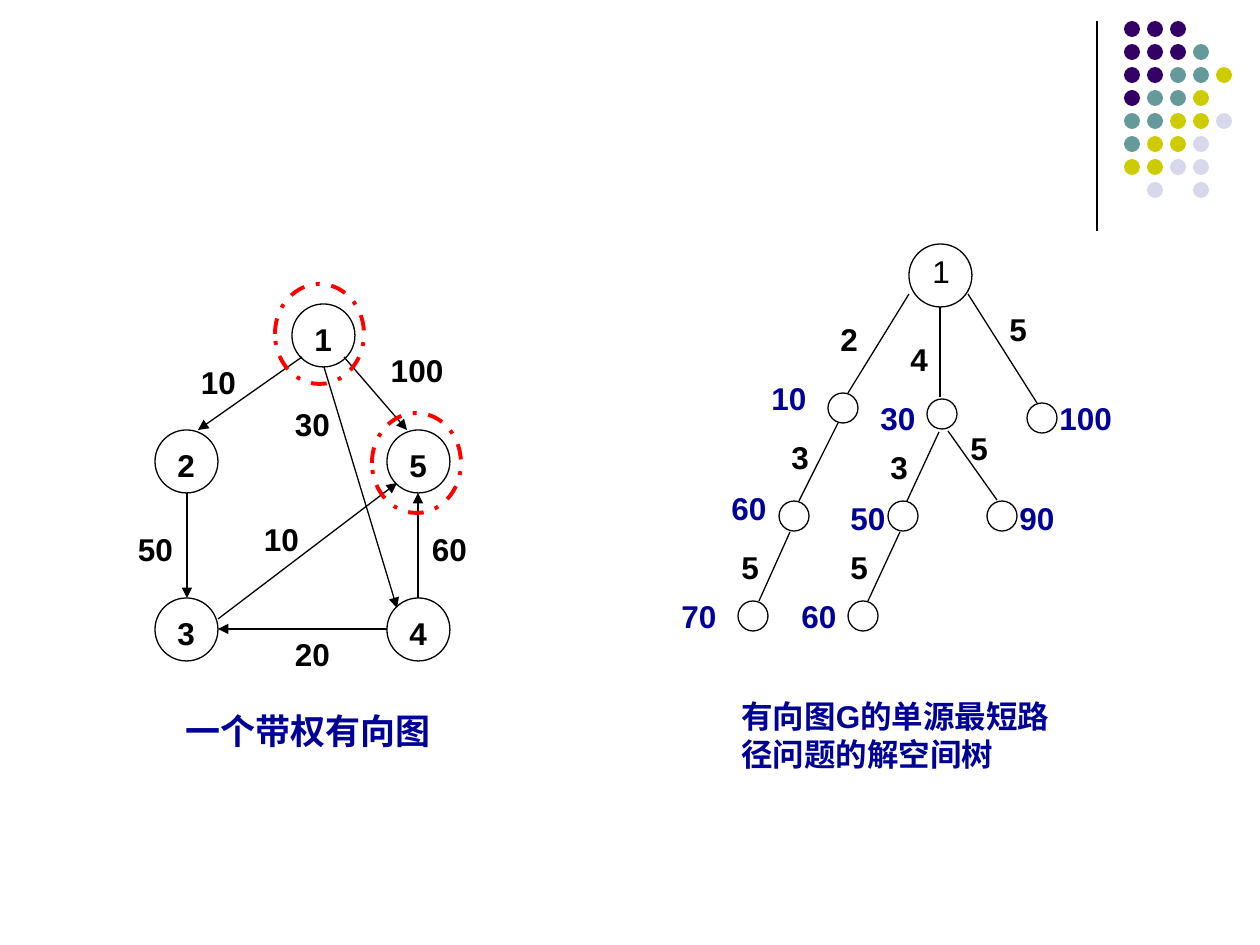
from lxml import etree
from pptx import Presentation, util as u
from pptx.dml.color import RGBColor
from pptx.enum import dml, shapes, text
from pptx.oxml import ns

PX = u.Inches(1) / 126
BLACK = RGBColor(0x00, 0x00, 0x00)
NAVY = RGBColor(0x00, 0x00, 0x99)
RED = RGBColor(0xFF, 0x00, 0x00)
DOT_COLOURS = {
    "p": RGBColor(0x33, 0x00, 0x66),
    "t": RGBColor(0x66, 0x99, 0x99),
    "y": RGBColor(0xCC, 0xCC, 0x00),
    "l": RGBColor(0xD8, 0xD8, 0xEC),
}
LEFT, CENTER = text.PP_ALIGN.LEFT, text.PP_ALIGN.CENTER

prs = Presentation()
prs.slide_width, prs.slide_height = u.Inches(10), u.Inches(7.5)
s = prs.slides.add_slide(prs.slide_layouts[6])


def add_ellipse(x, y, w, h, fill=None, line=None, weight=0.75):
    sp = s.shapes.add_shape(shapes.MSO_SHAPE.OVAL, *(round(v * PX) for v in (x, y, w, h)))
    sp.shadow.inherit = False
    if fill is None:
        sp.fill.background()
    else:
        sp.fill.solid()
        sp.fill.fore_color.rgb = fill
    if line is None:
        sp.line.fill.background()
    else:
        sp.line.color.rgb = line
        sp.line.width = u.Pt(weight)
    return sp


def add_label(words, x, y, w, h=50, color=BLACK, align=LEFT, size=18, bold=True):
    tf = s.shapes.add_textbox(*(round(v * PX) for v in (x, y, w, h))).text_frame
    tf.word_wrap = True
    p = tf.paragraphs[0]
    p.text = words
    p.alignment = align
    p.font.name = "Arial"
    p.font.size = u.Pt(size)
    p.font.bold = bold
    p.font.color.rgb = color


# Corner dots
DOT_ROWS = ["ppp", "pppt", "pptty", "ptty", "ttyyl", "tyyl", "yyll", " l l"]
for row, keys in enumerate(DOT_ROWS):
    for col, key in enumerate(keys):
        if key != " ":
            add_ellipse(1124 + 23 * col, 21 + 23 * row, 16, 16, fill=DOT_COLOURS[key])

# Lines: x1, y1, x2, y2
corner_rule = [(1097, 21, 1097, 231)]
tree_edges = [
    (909, 294, 848, 393), (968, 294, 1037, 403), (838, 423, 799, 501),
    (940, 307, 940, 397), (948, 431, 997, 500), (939, 432, 907, 501),
    (900, 532, 868, 601), (790, 532, 759, 601),
]
graph_edges = [
    (302, 357, 198, 430), (324, 367, 397, 608), (344, 357, 407, 430),
    (418, 598, 418, 493), (187, 493, 187, 598), (218, 619, 397, 483),
    (387, 629, 218, 629),
]
for edges, directed in ((corner_rule, False), (tree_edges, False), (graph_edges, True)):
    for edge in edges:
        c = s.shapes.add_connector(shapes.MSO_CONNECTOR.STRAIGHT, *(round(v * PX) for v in edge))
        c.line.color.rgb = BLACK
        c.line.width = u.Pt(0.75)
        if directed:
            etree.SubElement(c.line._get_or_add_ln(), ns.qn("a:tailEnd"), type="triangle")
        etree.SubElement(c._element.spPr, ns.qn("a:effectLst"))

# Solution space tree
add_ellipse(909, 244, 63, 63, line=BLACK)
add_label("1", 920, 246, 53, bold=False)
for x, y in [(828, 393), (1027, 403), (779, 501), (927, 399),
             (888, 501), (987, 501), (848, 601), (738, 601)]:
    add_ellipse(x, y, 30, 30, line=BLACK)
for branch, x, y in [("2", 828, 314), ("5", 997, 304), ("5", 838, 542), ("5", 729, 542),
                     ("4", 898, 334), ("3", 878, 442), ("3", 779, 432), ("5", 958, 423)]:
    add_label(branch, x, y, 53)
for cost, x, y in [("10", 759, 373), ("100", 1047, 393), ("60", 719, 483), ("70", 669, 591),
                   ("60", 789, 591), ("50", 838, 493), ("90", 1007, 493), ("30", 868, 393)]:
    add_label(cost, x, y, 89 if len(cost) == 3 else 69, color=NAVY)

# Weighted directed graph
for node, x, y in [("1", 292, 304), ("2", 155, 430), ("3", 155, 598),
                   ("5", 387, 430), ("4", 387, 598)]:
    add_ellipse(x, y, 63, 63, line=BLACK)
    add_label(node, x + 10, y + 10, 53)
for weight, x, y in [("100", 375, 345), ("10", 187, 357), ("50", 124, 524), ("10", 250, 514),
                     ("30", 281, 399), ("60", 418, 524), ("20", 281, 629)]:
    add_label(weight, x, y, 84 if len(weight) == 3 else 63, align=CENTER)
for x, y in [(372, 413), (275, 284)]:
    ring = add_ellipse(x, y, 89, 100, line=RED, weight=2.25)
    ring.line.dash_style = dml.MSO_LINE.DASH_DOT

# Captions
add_label("一个带权有向图", 124, 703, 368, 55, color=NAVY, align=CENTER, size=20)
add_label("有向图G的单源最短路径问题的解空间树", 729, 691, 338, 88, color=NAVY)

prs.save("out.pptx")
